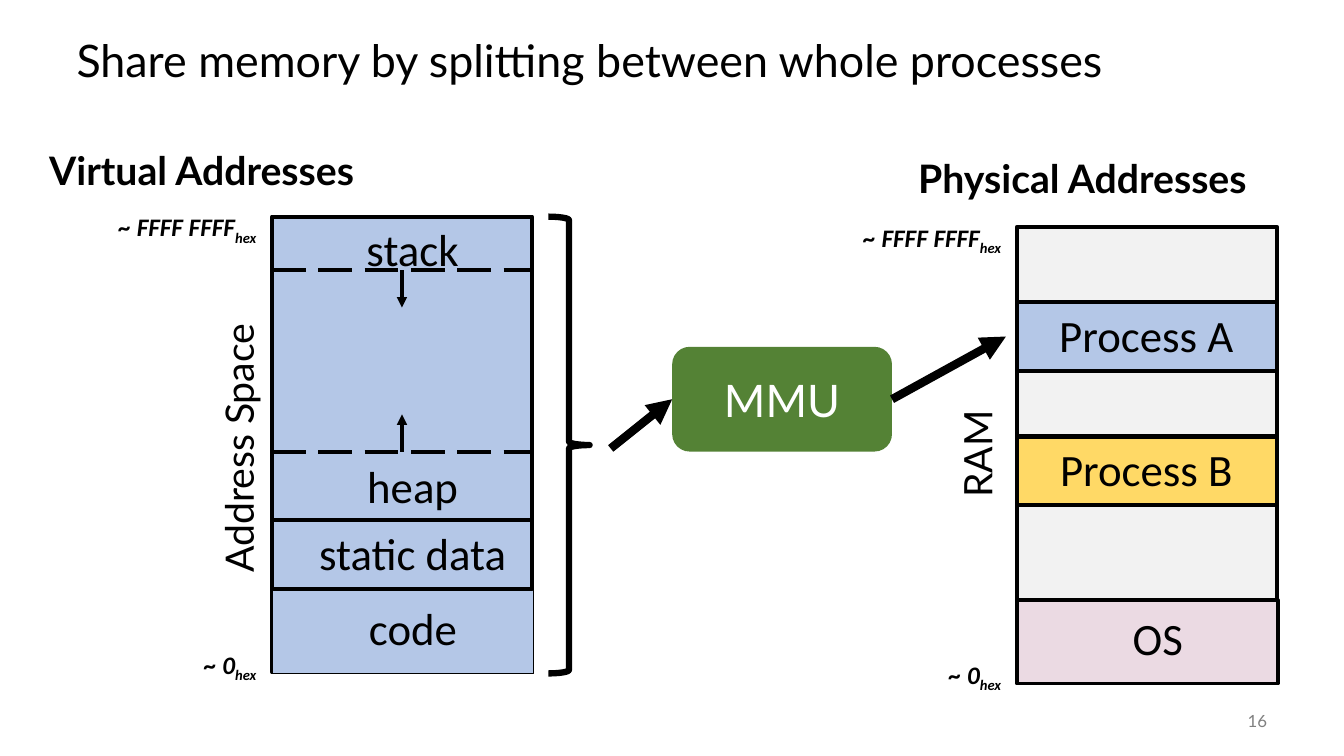
"""Builds a slide on sharing physical memory between whole processes."""
from lxml import etree
from pptx import Presentation
from pptx.dml.color import RGBColor
from pptx.enum.dml import MSO_LINE
from pptx.enum.shapes import MSO_CONNECTOR, MSO_SHAPE
from pptx.enum.text import MSO_ANCHOR, PP_ALIGN
from pptx.oxml.ns import qn
from pptx.util import Cm, Pt

LEFT, CENTER, RIGHT = PP_ALIGN.LEFT, PP_ALIGN.CENTER, PP_ALIGN.RIGHT
TOP, MIDDLE = MSO_ANCHOR.TOP, MSO_ANCHOR.MIDDLE
RECT, ROUND = MSO_SHAPE.RECTANGLE, MSO_SHAPE.ROUNDED_RECTANGLE
BRACE = MSO_SHAPE.RIGHT_BRACE
STRAIGHT = MSO_CONNECTOR.STRAIGHT
LONG_DASH = MSO_LINE.LONG_DASH
HEADING, BODY = "Lato", "Calibri"
BLACK, WHITE, GRAY = "000000", "FFFFFF", "808080"
BLUE, YELLOW, PINK = "B4C7E7", "FFD966", "EBDAE3"
FREE, GREEN = "F2F2F2", "548235"
FRAME_W, FRAME_H = 6.55, 11.48
BAND_H, BASE_W, BASE_H = 1.73, 6.58, 2.11
LABEL_H = 1.47


def rgb(value):
    return RGBColor.from_string(value)


def write(tf, text, size=32, font=HEADING, color=BLACK, bold=False, italic=False,
          align=LEFT, anchor=TOP, sub="", spacing=None):
    tf.word_wrap = True
    tf.vertical_anchor = anchor
    p = tf.paragraphs[0]
    p.alignment = align
    if spacing:
        p.line_spacing = spacing
    for part in filter(None, (text, sub)):
        r = p.add_run()
        r.text = part
        r.font.size = Pt(size)
        r.font.name = font
        r.font.bold = bold
        r.font.italic = italic
        r.font.color.rgb = rgb(color)
    if sub:
        r.font._element.set("baseline", "-25000")


class Deck:
    """Holds the presentation, its current slide and the drawing style."""

    def __init__(self):
        self.prs = Presentation()
        self.prs.slide_width, self.prs.slide_height = Cm(33.87), Cm(19.05)
        self.s = self.prs.slides.add_slide(self.prs.slide_layouts[6])

    def text(self, x, y, w, h, text, rotation=0, **style):
        sp = self.s.shapes.add_textbox(Cm(x), Cm(y), Cm(w), Cm(h))
        sp.rotation = rotation
        write(sp.text_frame, text, **style)

    def shape(self, kind, x, y, w, h, fill=None, line=None):
        sp = self.s.shapes.add_shape(kind, Cm(x), Cm(y), Cm(w), Cm(h))
        sp.shadow.inherit = False
        if fill:
            sp.fill.solid()
            sp.fill.fore_color.rgb = rgb(fill)
        else:
            sp.fill.background()
        if line:
            sp.line.color.rgb = rgb(BLACK)
            sp.line.width = Pt(line)
        else:
            sp.line.fill.background()
        return sp

    def line(self, x1, y1, x2, y2, width, dash=None, arrow=False):
        c = self.s.shapes.add_connector(STRAIGHT, Cm(x1), Cm(y1), Cm(x2), Cm(y2))
        c.line.color.rgb = rgb(BLACK)
        c.line.width = Pt(width)
        if dash:
            c.line.dash_style = dash
        if arrow:
            etree.SubElement(c.line._get_or_add_ln(), qn("a:tailEnd"), type="triangle")
        etree.SubElement(c._element.spPr, qn("a:effectLst"))
        return c

    def label(self, center, y, w, text):
        self.text(center - w / 2, y, w, LABEL_H, text, font=BODY, align=CENTER)

    def memory(self, x, y, fill, base_fill, base_line, base_label):
        self.shape(RECT, x, y, FRAME_W, FRAME_H, fill, 3)
        self.shape(RECT, x, y + 9.4, BASE_W, BASE_H, base_fill, base_line)
        self.label(x + 3.55, y + 9.55, 3.12, base_label)
        for text, w, dy in (("~ FFFF FFFF", 5.03, -0.25), ("~ 0", 1.96, 10.77)):
            self.text(x - 0.15 - w, y + dy, w, 0.91, text, sub="hex", size=18,
                      font=BODY, bold=True, italic=True, align=RIGHT)


def main():
    deck = Deck()
    deck.text(1.68, 0.64, 30.48, 1.9, "Share memory by splitting between whole processes",
              anchor=MIDDLE, spacing=0.9)
    deck.text(29.64, 17.65, 2.54, 1.02, "16", size=12, color=GRAY, align=RIGHT, anchor=MIDDLE)
    for x, y, text in ((0.99, 3.56, "Virtual Addresses"), (22.89, 3.76, "Physical Addresses")):
        deck.text(x, y, 9.98, 1.45, text, size=28, bold=True)

    vx, vy = 6.86, 5.46
    deck.memory(vx, vy, BLUE, BLUE, 1, "code")
    deck.shape(RECT, vx, 13.11, FRAME_W, BAND_H, BLUE, 3)
    for y, growth in ((11.38, -0.94), (6.81, 0.94)):
        deck.line(vx, y, vx + BASE_W, y, 3, dash=LONG_DASH)
        deck.line(10.13, y, 10.13, y + growth, 2.5, arrow=True)
    for y, w, text in ((13.13, 5.51, "static data"), (11.43, 3.12, "heap"), (vy, 3.12, "stack")):
        deck.label(10.4, y, w, text)

    px, py = 25.63, 5.72
    deck.memory(px, py, FREE, PINK, 2.25, "OS")
    for y, fill, text in ((7.62, BLUE, "Process A"), (11, YELLOW, "Process B")):
        deck.shape(RECT, px, y, FRAME_W, BAND_H, fill, 3)
        deck.label(px + 3.26, y, 5.51, text)

    for x, y, text in ((1.02, 10.57, "Address Space"), (19.63, 10.72, "RAM")):
        deck.text(x, y, 9.98, 1.45, text, rotation=270, size=28, align=CENTER)

    deck.shape(BRACE, 13.82, vy, 1.04, 11.51, line=4.5)
    mmu = deck.shape(ROUND, 16.94, 8.74, 5.54, 2.64, GREEN)
    write(mmu.text_frame, "MMU", color=WHITE, align=CENTER, anchor=MIDDLE)
    deck.line(15.39, 11.3, 16.94, 10.06, 6, arrow=True).end_connect(mmu, 1)
    deck.line(22.48, 10.06, 25.35, 8.48, 6, arrow=True).begin_connect(mmu, 3)
    deck.prs.save("out.pptx")


if __name__ == "__main__":
    main()
